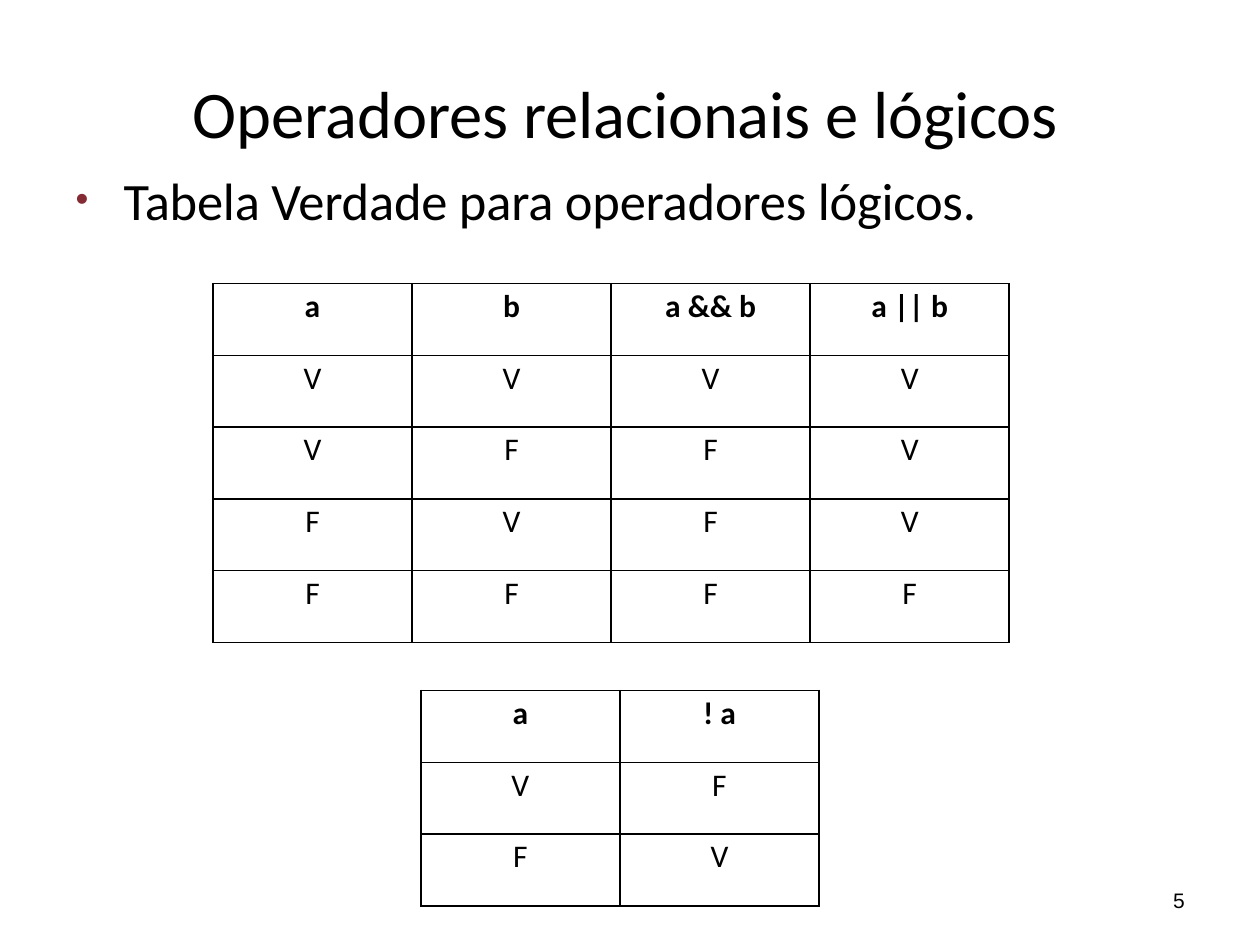
from dataclasses import dataclass

from lxml import etree
from pptx import Presentation
from pptx.dml.color import RGBColor
from pptx.enum.text import MSO_ANCHOR, MSO_AUTO_SIZE, PP_ALIGN
from pptx.oxml.ns import qn
from pptx.util import Inches, Pt

TOP = MSO_ANCHOR.TOP
NO_AUTOFIT = MSO_AUTO_SIZE.NONE
LEFT, CENTER = PP_ALIGN.LEFT, PP_ALIGN.CENTER

COLORS = {"text": "000000", "border": "000000", "bullet": "852B34"}
COLUMN_WIDTH = 1.58
ROW_HEIGHT = 0.57
TIGHT = "-10"


@dataclass(frozen=True)
class TruthTable:
    left: float
    top: float
    rows: tuple[tuple[str, ...], ...]


TRUTH_TABLES = (
    TruthTable(1.69, 2.25, (
        ("a", "b", "a && b", "a || b"),
        ("V", "V", "V", "V"),
        ("V", "F", "F", "V"),
        ("F", "V", "F", "V"),
        ("F", "F", "F", "F"),
    )),
    TruthTable(3.34, 5.48, (("a", "! a"), ("V", "F"), ("F", "V"))),
)


def place(shape, left: float, top: float, width: float, height: float) -> None:
    shape.left, shape.top = Inches(left), Inches(top)
    shape.width, shape.height = Inches(width), Inches(height)


def write(frame, text: str, size: float, font: str = "Calibri", bold: bool = False):
    frame.text = text
    paragraph = frame.paragraphs[0]
    for run in paragraph.runs:
        run.font.size = Pt(size)
        run.font.name = font
        run.font.bold = bold
        run.font.color.rgb = RGBColor.from_string(COLORS["text"])
    return paragraph


def set_frame(frame, top_margin: float) -> None:
    frame.margin_left = frame.margin_right = frame.margin_bottom = 0
    frame.margin_top = Inches(top_margin)
    frame.vertical_anchor = TOP
    frame.auto_size = NO_AUTOFIT
    frame.word_wrap = True


def write_heading(placeholder, text: str, size: float):
    set_frame(placeholder.text_frame, 0.01)
    paragraph = write(placeholder.text_frame, text, size)
    paragraph.alignment = LEFT
    paragraph.space_before = Pt(0)
    for run in paragraph.runs:
        run.font._element.set("spc", TIGHT)
    return paragraph


def add_bullet(paragraph, indent: float, hanging: float) -> None:
    properties = paragraph._p.get_or_add_pPr()
    properties.set("marL", str(Inches(indent)))
    properties.set("indent", str(-Inches(hanging)))
    color = etree.SubElement(properties, qn("a:buClr"))
    etree.SubElement(color, qn("a:srgbClr"), val=COLORS["bullet"])
    etree.SubElement(properties, qn("a:buSzPct"), val="70000")
    etree.SubElement(properties, qn("a:buFont"), typeface="Arial")
    etree.SubElement(properties, qn("a:buChar"), char="•")


def add_borders(cell) -> None:
    properties = cell._tc.get_or_add_tcPr()
    for side in ("lnL", "lnR", "lnT", "lnB"):
        line = etree.SubElement(properties, qn(f"a:{side}"), w=str(Pt(1)))
        fill = etree.SubElement(line, qn("a:solidFill"))
        etree.SubElement(fill, qn("a:srgbClr"), val=COLORS["border"])


def add_truth_table(slide, truth: TruthTable) -> None:
    row_count, column_count = len(truth.rows), len(truth.rows[0])
    table = slide.shapes.add_table(
        row_count, column_count, Inches(truth.left), Inches(truth.top),
        Inches(COLUMN_WIDTH * column_count), Inches(ROW_HEIGHT * row_count),
    ).table
    table.horz_banding = False
    for column in table.columns:
        column.width = Inches(COLUMN_WIDTH)
    for row_index, values in enumerate(truth.rows):
        table.rows[row_index].height = Inches(ROW_HEIGHT)
        for column_index, value in enumerate(values):
            cell = table.cell(row_index, column_index)
            cell.margin_left = cell.margin_right = cell.margin_bottom = 0
            cell.margin_top = Inches(0.03)
            cell.vertical_anchor = TOP
            add_borders(cell)
            cell.fill.background()
            paragraph = write(cell.text_frame, value, 18, bold=row_index == 0)
            paragraph.alignment = CENTER


def main() -> None:
    presentation = Presentation()
    presentation.slide_width, presentation.slide_height = Inches(10), Inches(7.5)
    slide = presentation.slides.add_slide(presentation.slide_layouts[1])

    title, topic = slide.shapes.title, slide.placeholders[1]
    place(title, 1.53, 0.56, 6.94, 0.66)
    write_heading(title, "Operadores relacionais e lógicos", 38)
    place(topic, 0.59, 1.32, 7.31, 0.53)
    topic_line = write_heading(topic, "Tabela Verdade para operadores lógicos.", 30)
    add_bullet(topic_line, 0.39, 0.38)

    for truth in TRUTH_TABLES:
        add_truth_table(slide, truth)

    page_number = slide.shapes.add_textbox(
        Inches(9.27), Inches(7.05), Inches(0.18), Inches(0.21))
    set_frame(page_number.text_frame, 0)
    page_line = write(page_number.text_frame, "5", 12, "Arial")
    page_line.line_spacing = Pt(14.2)
    page_line._p.get_or_add_pPr().set("marL", str(Inches(0.04)))

    presentation.save("out.pptx")


if __name__ == "__main__":
    main()
